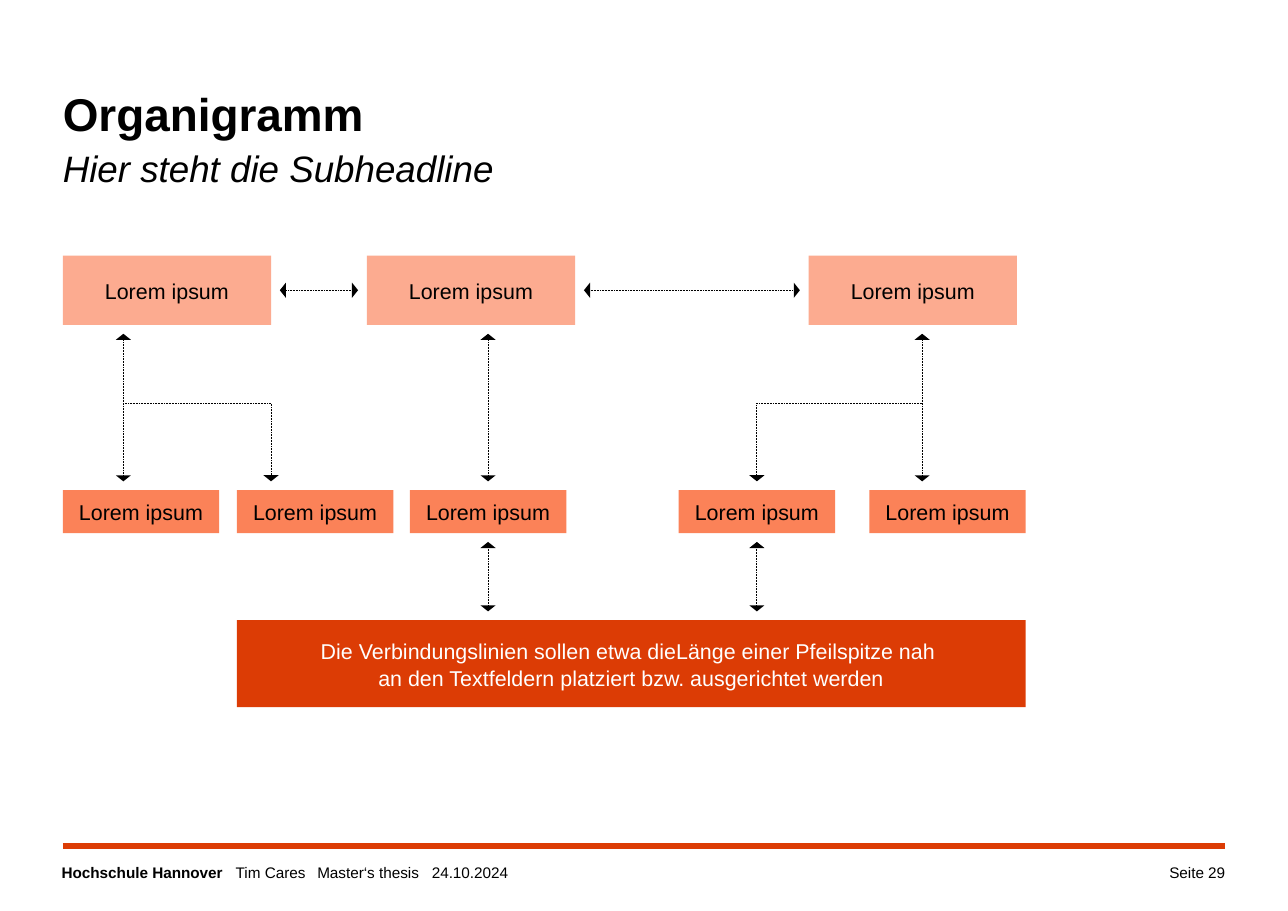
from dataclasses import dataclass

from lxml import etree
from pptx import Presentation
from pptx.dml.color import RGBColor
from pptx.enum.dml import MSO_LINE
from pptx.enum.shapes import MSO_CONNECTOR, MSO_SHAPE
from pptx.enum.text import MSO_ANCHOR, PP_ALIGN
from pptx.oxml.ns import qn
from pptx.util import Inches, Pt


@dataclass(frozen=True)
class Theme:
    font: str = "Arial"
    black: str = "000000"
    white: str = "FFFFFF"
    light: str = "FCAB90"
    medium: str = "FB8258"
    accent: str = "DC3C05"
    title: float = 30
    subtitle: float = 24
    body: float = 14
    footer: float = 10
    rule: float = 4
    arrow: float = 0.5


THEME = Theme()
rgb = RGBColor.from_string


def style(p, size, color=THEME.black, align=PP_ALIGN.LEFT):
    p.alignment = align
    f = p.font
    f.name, f.size, f.color.rgb = THEME.font, Pt(size), rgb(color)


def add_text(slide, x, y, w, h):
    tf = slide.shapes.add_textbox(Inches(x), Inches(y), Inches(w), Inches(h)).text_frame
    tf.word_wrap = True
    tf.margin_left = tf.margin_right = tf.margin_top = tf.margin_bottom = 0
    return tf.paragraphs[0]


def add_run(p, text, **font):
    r = p.add_run()
    r.text = text
    for name, value in font.items():
        setattr(r.font, name, value)


def add_box(slide, x, y, w, h, fill, lines, color=THEME.black):
    sp = slide.shapes.add_shape(
        MSO_SHAPE.RECTANGLE, Inches(x), Inches(y), Inches(w), Inches(h))
    sp.shadow.inherit = False
    sp.fill.solid()
    sp.fill.fore_color.rgb = rgb(fill)
    sp.line.fill.background()
    tf = sp.text_frame
    tf.word_wrap = False
    tf.vertical_anchor = MSO_ANCHOR.MIDDLE
    tf.margin_left = tf.margin_right = Inches(0.2)
    tf.margin_top = tf.margin_bottom = Inches(0.15)
    tf.text = "\n".join(lines)
    for p in tf.paragraphs:
        style(p, THEME.body, color, PP_ALIGN.CENTER)
        p.line_spacing = 1.05


def add_line(slide, x1, y1, x2, y2, color, width):
    cxn = slide.shapes.add_connector(
        MSO_CONNECTOR.STRAIGHT, Inches(x1), Inches(y1), Inches(x2), Inches(y2))
    etree.SubElement(cxn._element.spPr, qn("a:effectLst"))
    cxn.line.color.rgb = rgb(color)
    cxn.line.width = Pt(width)
    return cxn


def make_arrow(line, *ends):
    """Dots a line and puts wide, short tips on the given ends."""
    line.color.rgb = rgb(THEME.black)
    line.width = Pt(THEME.arrow)
    line.dash_style = MSO_LINE.ROUND_DOT
    for end in ends:
        etree.SubElement(line._get_or_add_ln(), qn(f"a:{end}"),
                         type="triangle", w="lg", len="sm")


def add_double_arrow(slide, x1, y1, x2, y2):
    cxn = add_line(slide, x1, y1, x2, y2, THEME.black, THEME.arrow)
    make_arrow(cxn.line, "headEnd", "tailEnd")


def add_branch(slide, x1, y1, x2, y2):
    """Elbow from a vertical arrow sideways, then down to a box."""
    pen = slide.shapes.build_freeform(Inches(x1), Inches(y1))
    pen.add_line_segments(
        [(Inches(x2), Inches(y1)), (Inches(x2), Inches(y2))], close=False)
    sp = pen.convert_to_shape()
    sp.shadow.inherit = False
    sp.fill.background()
    make_arrow(sp.line, "tailEnd")


def add_title(slide, x, y, w, h):
    p = add_text(slide, x, y, w, h)
    add_run(p, "Organigramm", bold=True)
    p.add_line_break()
    add_run(p, "Hier steht die Subheadline", size=Pt(THEME.subtitle), italic=True)
    style(p, THEME.title)
    p.line_spacing = 1.1


def add_org_chart(slide, x, y):
    gap = 0.08
    head_w, head_h = 1.89, 0.63
    team_w, team_h = 1.42, 0.39
    heads = [x + dx for dx in (0, 2.76, 6.77)]
    teams = [x + dx for dx in (0, 1.58, 3.15, 5.59, 7.32)]
    team_y, base_y = y + 2.13, y + 3.31

    # Boxes on three levels
    for left in heads:
        add_box(slide, left, y, head_w, head_h, THEME.light, ["Lorem ipsum"])
    for left in teams:
        add_box(slide, left, team_y, team_w, team_h, THEME.medium, ["Lorem ipsum"])
    add_box(slide, teams[1], base_y, teams[-1] + team_w - teams[1], 0.79, THEME.accent,
            ["Die Verbindungslinien sollen etwa dieLänge einer Pfeilspitze nah ",
             "an den Textfeldern platziert bzw. ausgerichtet werden"], THEME.white)

    # Arrows between neighbours on the top level
    mid = y + head_h / 2
    for left, right in zip(heads, heads[1:]):
        add_double_arrow(slide, left + head_w + gap, mid, right - gap, mid)

    # Vertical arrows between levels
    first, centre, fourth, last = x + 0.55, x + 3.86, x + 6.3, x + 7.8
    top, bottom = y + head_h + gap, team_y - gap
    for cx in (first, centre, last):
        add_double_arrow(slide, cx, top, cx, bottom)
    for cx in (centre, fourth):
        add_double_arrow(slide, cx, team_y + team_h + gap, cx, base_y - gap)

    # Branches to the second and fourth team
    fork = (top + bottom) / 2 - 0.04
    add_branch(slide, first, fork, x + head_w, bottom)
    add_branch(slide, last, fork, fourth, bottom)


def add_footer(slide, x, y, w):
    add_line(slide, x, y, x + w, y, THEME.accent, THEME.rule)

    p = add_text(slide, x - 0.01, y + 0.16, 8.44, 0.24)
    tabs = etree.SubElement(p._p.get_or_add_pPr(), qn("a:tabLst"))
    for pos in (1.58, 2.32, 3.36):
        etree.SubElement(tabs, qn("a:tab"), pos=str(Inches(pos)), algn="l")
    add_run(p, "Hochschule Hannover", bold=True)
    add_run(p, "\tTim Cares\tMaster‘s thesis\t24.10.2024")
    style(p, THEME.footer)

    p = add_text(slide, x + w - 1.34, y + 0.16, 1.34, 0.25)
    add_run(p, "Seite 29")
    style(p, THEME.footer, align=PP_ALIGN.RIGHT)


def main():
    prs = Presentation()
    prs.slide_width, prs.slide_height = Inches(11.69), Inches(8.27)
    slide = prs.slides.add_slide(prs.slide_layouts[6])
    left, width = 0.57, 10.55
    add_footer(slide, left, 7.68, width)
    add_title(slide, left, 0.73, width, 1.04)
    add_org_chart(slide, left, 2.32)
    prs.save("out.pptx")


if __name__ == "__main__":
    main()
